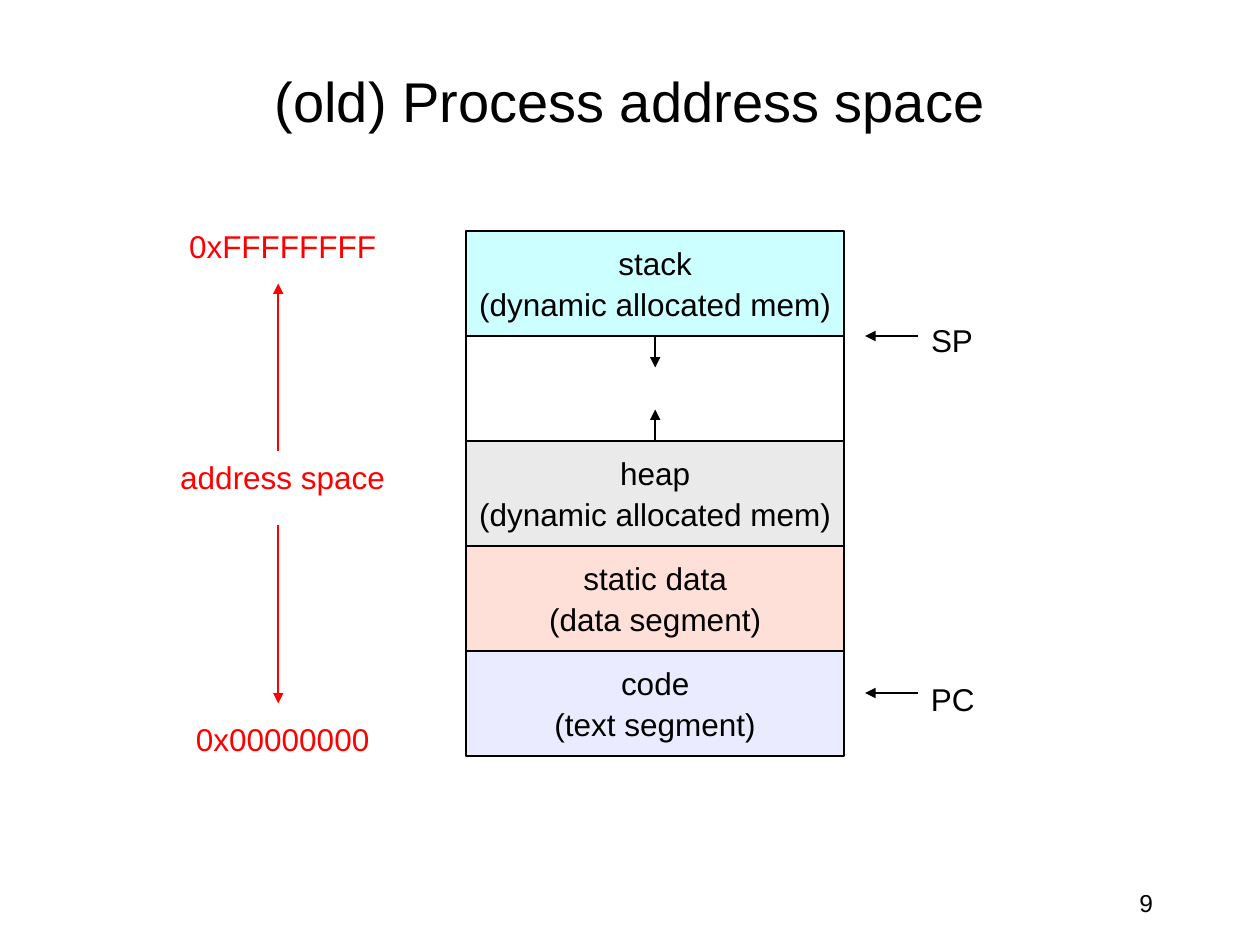
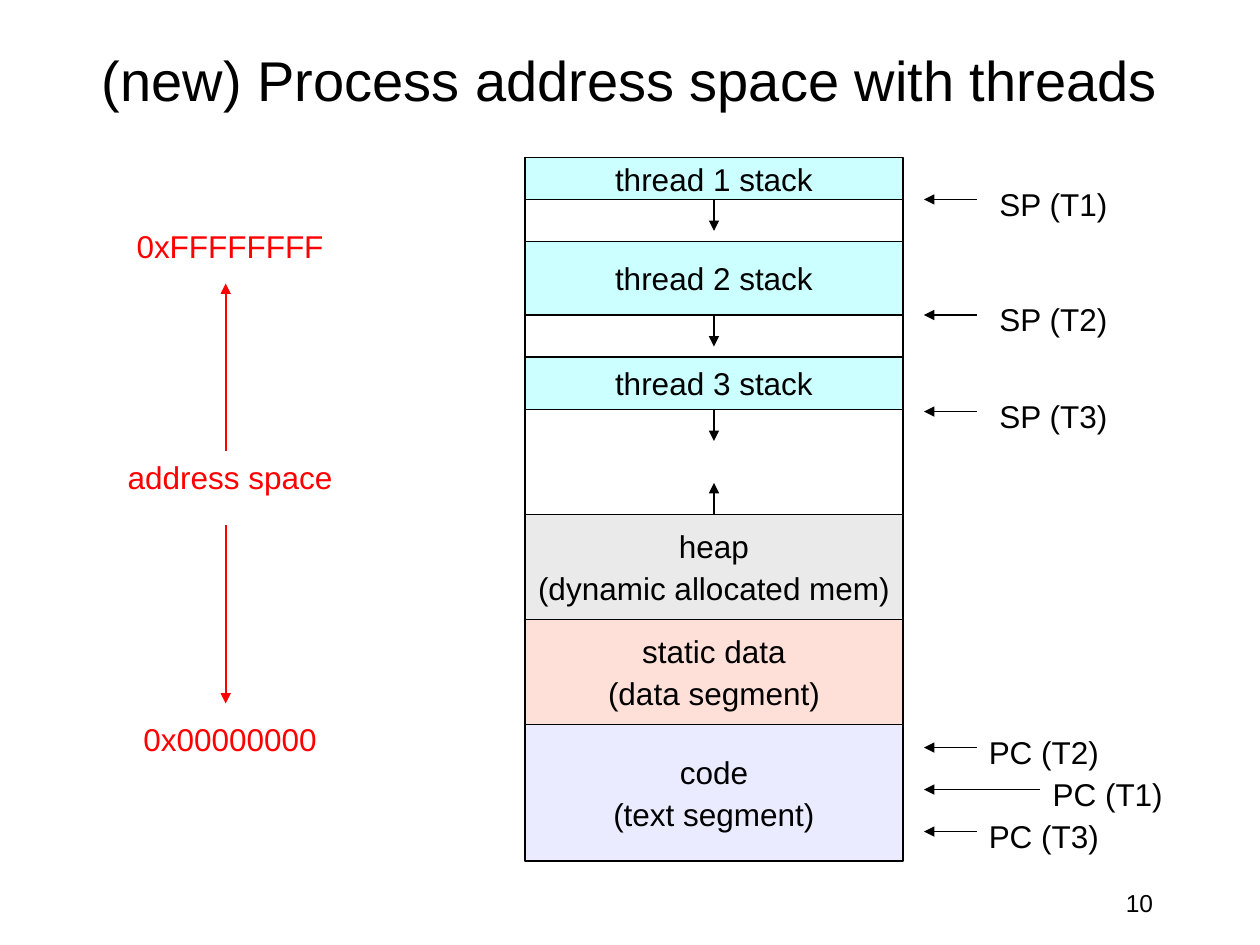
from lxml import etree
from pptx import Presentation
from pptx.dml.color import RGBColor
from pptx.enum.shapes import MSO_CONNECTOR, MSO_SHAPE
from pptx.enum.text import MSO_ANCHOR as ANCHOR, MSO_AUTO_SIZE, PP_ALIGN as ALIGN
from pptx.oxml.ns import qn
from pptx.util import Pt

BLACK = RGBColor(0x00, 0x00, 0x00)
WHITE = RGBColor(0xFF, 0xFF, 0xFF)
RED = RGBColor(0xFF, 0x00, 0x00)
CYAN = RGBColor(0xCC, 0xFF, 0xFF)
GRAY = RGBColor(0xEA, 0xEA, 0xEA)
PINK = RGBColor(0xFF, 0xE0, 0xD9)
LILAC = RGBColor(0xEB, 0xEB, 0xFF)
FONT = "Arial"
MEMORY_WIDTH = 216
LABEL_HEIGHT = 28.8
GROWTH = 18  # length of the arrows inside the memory column


def write(text, slide, left, top, width, height, size=18, color=BLACK,
          align=ALIGN.CENTER, anchor=ANCHOR.TOP, wrap=False, fill=None):
    """Write text in a plain box, or in an outlined band if a fill is given."""
    place = Pt(left), Pt(top), Pt(width), Pt(height)
    if fill is None:
        box = slide.shapes.add_textbox(*place)
    else:
        box = slide.shapes.add_shape(MSO_SHAPE.RECTANGLE, *place)
        box.shadow.inherit = False
        box.fill.solid()
        box.fill.fore_color.rgb = fill
        box.line.color.rgb = BLACK
        box.line.width = Pt(1)
    frame = box.text_frame
    frame.word_wrap = wrap
    if fill is None and not wrap:
        frame.auto_size = MSO_AUTO_SIZE.SHAPE_TO_FIT_TEXT
    frame.vertical_anchor = anchor
    for number, line in enumerate(text.split("\n")):
        paragraph = frame.add_paragraph() if number else frame.paragraphs[0]
        if number:
            paragraph.space_before = Pt(2.2)
        paragraph.alignment = align
        paragraph.font.name = FONT
        paragraph.font.size = Pt(size)
        paragraph.font.color.rgb = color
        if line:
            paragraph.add_run().text = line


def draw_arrow(slide, x1, y1, x2, y2, color=BLACK):
    arrow = slide.shapes.add_connector(
        MSO_CONNECTOR.STRAIGHT, Pt(x1), Pt(y1), Pt(x2), Pt(y2))
    arrow.line.color.rgb = color
    arrow.line.width = Pt(1)
    outline = arrow.line._get_or_add_ln()
    etree.SubElement(outline, qn("a:tailEnd"), type="triangle")
    etree.SubElement(arrow._element.spPr, qn("a:effectLst"))


# Segments both address spaces end with: text, fill, height
HEAP = ("heap\n(dynamic allocated mem)", GRAY, 60)
STATIC = ("static data\n(data segment)", PINK, 60)
CODE = "code\n(text segment)"

# Segments run from the top down; an empty one is free space.
# Registers: text, arrow y, arrow length, label left, label top, label width
ADDRESS_SPACES = [
    {
        "title": "(old) Process address space", "title_at": (54, 30, 612, 54),
        "page": "9", "range_x": 159, "memory_at": (266.4, 132),
        "segments": [("stack\n(dynamic allocated mem)", CYAN, 60),
                     ("", WHITE, 60), HEAP, STATIC, (CODE, LILAC, 60)],
        "registers": [("SP", 192, 30, 524, 180, 40),
                      ("PC", 396, 30, 524, 385.2, 41)],
    },
    {
        "title": "(new) Process address space with threads",
        "title_at": (36, 18, 648, 54),
        "page": "10", "range_x": 129, "memory_at": (300, 90),
        "segments": [("thread 1 stack", CYAN, 24), ("", WHITE, 24),
                     ("thread 2 stack", CYAN, 42), ("", WHITE, 24),
                     ("thread 3 stack", CYAN, 30), ("", WHITE, 60),
                     HEAP, STATIC, (CODE, LILAC, 78)],
        "registers": [("SP (T1)", 114, 30, 563, 102, 78),
                      ("SP (T2)", 180, 30, 563, 168, 78),
                      ("SP (T3)", 235.2, 30, 563, 223.2, 78),
                      ("PC (T2)", 427.2, 30, 557, 415.2, 79),
                      ("PC (T1)", 451.2, 66, 593.5, 439.2, 79),
                      ("PC (T3)", 475.2, 30, 557, 463.2, 79)],
    },
]

deck = Presentation()
deck.slide_width = Pt(720)
deck.slide_height = Pt(540)

for space in ADDRESS_SPACES:
    slide = deck.slides.add_slide(deck.slide_layouts[6])

    # Title
    write(space["title"], slide, *space["title_at"], size=32,
          anchor=ANCHOR.MIDDLE, wrap=True)

    # Address range
    range_x = space["range_x"]
    for label, top in [("0xFFFFFFFF", 126), ("address space", 258),
                       ("0x00000000", 408)]:
        write(label, slide, range_x - 64.5, top, 134, LABEL_HEIGHT, color=RED)
    draw_arrow(slide, range_x, 258, range_x, 162, color=RED)
    draw_arrow(slide, range_x, 300, range_x, 402, color=RED)

    # Memory segments, stacked without gaps
    memory_left, top = space["memory_at"]
    stack_ends = []
    for label, fill, height in space["segments"]:
        write(label, slide, memory_left, top, MEMORY_WIDTH, height,
              anchor=ANCHOR.MIDDLE, fill=fill)
        if fill == GRAY:
            heap_top = top
        top += height
        if fill == CYAN:
            stack_ends.append(top)

    # Stacks grow down, the heap grows up
    middle = memory_left + MEMORY_WIDTH / 2
    for stack_end in stack_ends:
        draw_arrow(slide, middle, stack_end, middle, stack_end + GROWTH)
    draw_arrow(slide, middle, heap_top, middle, heap_top - GROWTH)

    # Stack pointers and program counters
    tip = memory_left + MEMORY_WIDTH + 12
    for register, y, length, left, label_top, width in space["registers"]:
        draw_arrow(slide, tip + length, y, tip, y)
        write(register, slide, left, label_top, width, LABEL_HEIGHT)

    # Page number
    write(space["page"], slide, 516, 504, 150, 24, size=14,
          align=ALIGN.RIGHT, wrap=True)

deck.save("out.pptx")
